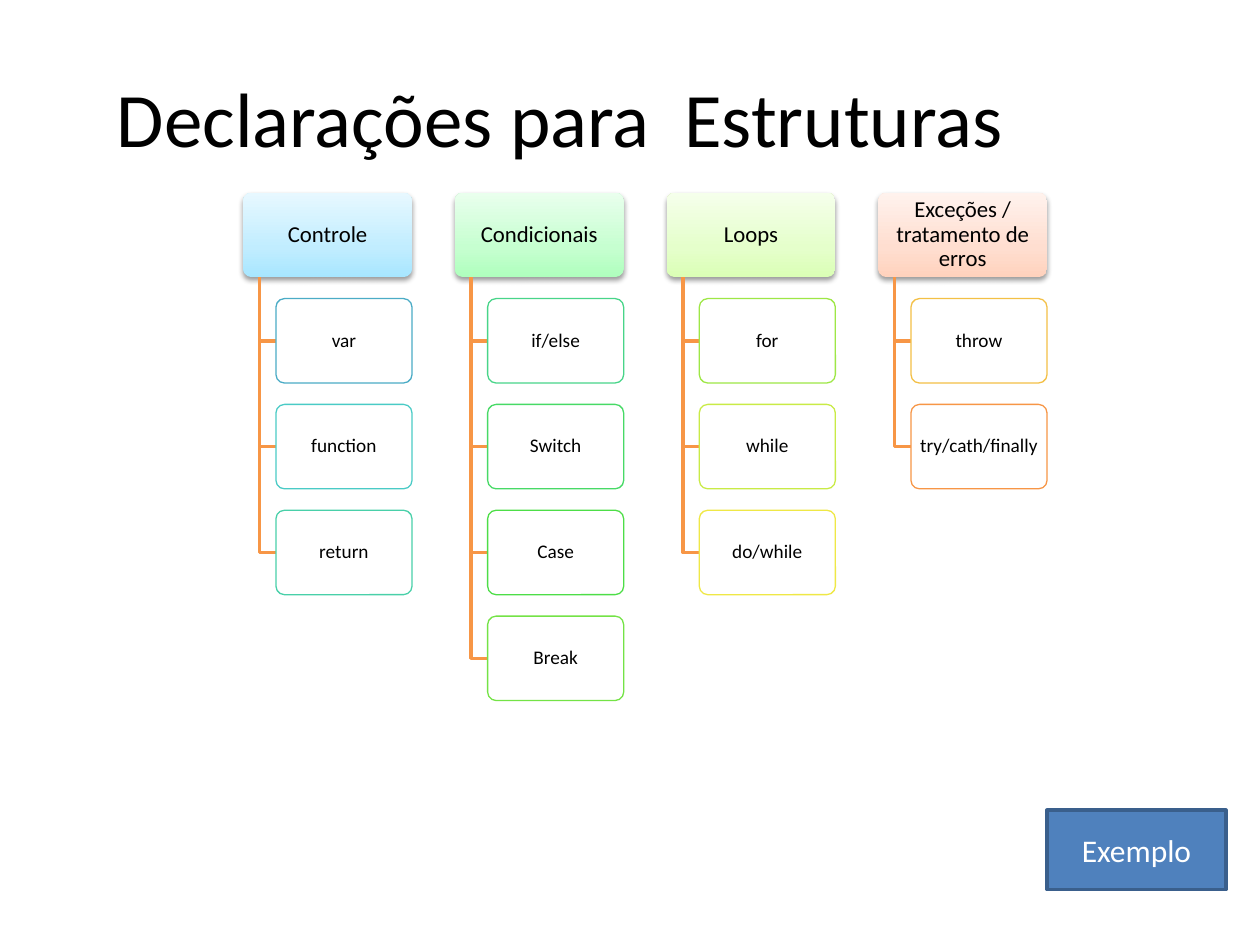
from copy import deepcopy
from dataclasses import dataclass

from lxml import etree
from pptx import Presentation
from pptx.dml.color import RGBColor
from pptx.enum.shapes import MSO_SHAPE
from pptx.enum.text import MSO_ANCHOR, PP_ALIGN
from pptx.oxml.ns import qn
from pptx.shapes.autoshape import Shape
from pptx.slide import Slide
from pptx.util import Inches, Pt

RECTANGLE = MSO_SHAPE.RECTANGLE
ROUNDED_RECTANGLE = MSO_SHAPE.ROUNDED_RECTANGLE
MIDDLE = MSO_ANCHOR.MIDDLE
CENTER = PP_ALIGN.CENTER
LEFT = PP_ALIGN.LEFT

FONT = "Calibri"
BLACK = "000000"
WHITE = "FFFFFF"
ORANGE = "F79646"

TREE_LEFT, TREE_TOP = 1.93, 1.53
COLUMN_STEP, ROW_STEP = 1.68, 0.84
HEADER_WIDTH, BOX_HEIGHT = 1.34, 0.67
TRUNK_OFFSET, ITEM_OFFSET = 0.13, 0.26
STOP_POSITIONS = (0, 0.35, 1)


@dataclass
class Item:
    text: str
    outline: str


@dataclass
class Category:
    title: str
    gradient: tuple[str, str, str]
    items: list[Item]


CATEGORIES = [
    Category("Controle", ("A7E6FF", "C1EDFF", "E7F8FF"), [
        Item("var", "4BACC6"),
        Item("function", "4ACBC6"),
        Item("return", "49D0A9"),
    ]),
    Category("Condicionais", ("AFFFBD", "C6FFD0", "E9FFED"), [
        Item("if/else", "48D589"),
        Item("Switch", "47DA66"),
        Item("Case", "4DDE47"),
        Item("Break", "74E346"),
    ]),
    Category("Loops", ("DBFFB6", "E5FFCB", "F5FFEB"), [
        Item("for", "9EE746"),
        Item("while", "C9EB46"),
        Item("do/while", "EFE846"),
    ]),
    Category("Exceções / tratamento de erros", ("FFD2BD", "FFDED0", "FFF2ED"), [
        Item("throw", "F3C046"),
        Item("try/cath/finally", ORANGE),
    ]),
]


def color(value: str) -> RGBColor:
    return RGBColor.from_string(value)


def write_text(shape: Shape, text: str, size: float, text_color: str,
               alignment: PP_ALIGN = CENTER) -> None:
    frame = shape.text_frame
    frame.text = text
    frame.word_wrap = True
    frame.vertical_anchor = MIDDLE
    paragraph = frame.paragraphs[0]
    paragraph.alignment = alignment
    font = paragraph.runs[0].font
    font.name = FONT
    font.size = Pt(size)
    font.color.rgb = color(text_color)


def set_line(shape: Shape, line_color: str, width: float) -> None:
    shape.line.color.rgb = color(line_color)
    shape.line.width = Pt(width)


def add_tree_box(slide: Slide, left: float, top: float, width: float,
                 text: str, size: float, side_margin: float) -> Shape:
    shape = slide.shapes.add_shape(ROUNDED_RECTANGLE, Inches(left), Inches(top),
                                   Inches(width), Inches(BOX_HEIGHT))
    shape.adjustments[0] = 0.1
    shape.shadow.inherit = False
    write_text(shape, text, size, BLACK)
    frame = shape.text_frame
    frame.margin_left = frame.margin_right = Inches(side_margin)
    frame.margin_top = frame.margin_bottom = Inches(0.02)
    frame.paragraphs[0].line_spacing = 0.9
    return shape


def set_gradient(shape: Shape, colors: tuple[str, str, str]) -> None:
    shape.fill.gradient()
    shape.fill.gradient_angle = 90
    stop_list = shape.element.spPr.find(".//" + qn("a:gsLst"))
    stop_list.append(deepcopy(stop_list[0]))
    for stop, position, value in zip(shape.fill.gradient_stops, STOP_POSITIONS, colors):
        stop.position = position
        stop.color.rgb = color(value)


def add_alpha(color_element: etree._Element, percent: int) -> None:
    etree.SubElement(color_element, qn("a:alpha"), val=str(percent * 1000))


def add_shadow(shape: Shape) -> None:
    effects = shape.element.spPr.find(qn("a:effectLst"))
    shadow = etree.SubElement(effects, qn("a:outerShdw"), blurRad=str(Pt(3.1)),
                              dist=str(Pt(1.6)), dir="5400000", rotWithShape="0")
    add_alpha(etree.SubElement(shadow, qn("a:srgbClr"), val=BLACK), 38)


def add_header(slide: Slide, left: float, category: Category) -> None:
    header = add_tree_box(slide, left, TREE_TOP, HEADER_WIDTH, category.title, 13, 0.03)
    set_gradient(header, category.gradient)
    header.line.fill.background()
    add_shadow(header)


def add_branch(slide: Slide, left: float, item_top: float) -> None:
    trunk = Inches(left + TRUNK_OFFSET)
    middle = Inches(item_top + BOX_HEIGHT / 2)
    builder = slide.shapes.build_freeform(trunk, Inches(TREE_TOP + BOX_HEIGHT))
    builder.add_line_segments([(trunk, middle), (Inches(left + ITEM_OFFSET), middle)],
                              close=False)
    branch = builder.convert_to_shape()
    branch.fill.background()
    branch.shadow.inherit = False
    set_line(branch, ORANGE, 2)


def add_item(slide: Slide, left: float, top: float, item: Item) -> None:
    box = add_tree_box(slide, left + ITEM_OFFSET, top, HEADER_WIDTH - ITEM_OFFSET,
                       item.text, 11, 0.02)
    box.fill.solid()
    box.fill.fore_color.rgb = color(WHITE)
    add_alpha(box.element.spPr.find(qn("a:solidFill"))[0], 90)
    set_line(box, item.outline, 0.75)


def add_category(slide: Slide, column: int, category: Category) -> None:
    left = TREE_LEFT + column * COLUMN_STEP
    add_header(slide, left, category)
    for row, item in enumerate(category.items, start=1):
        top = TREE_TOP + row * ROW_STEP
        add_branch(slide, left, top)
        add_item(slide, left, top, item)


def add_title(slide: Slide) -> None:
    title = slide.shapes.add_textbox(Inches(0.83), Inches(0.3), Inches(8.83), Inches(1.25))
    write_text(title, "Declarações para  Estruturas", 44, BLACK, LEFT)


def add_example_button(slide: Slide) -> None:
    button = slide.shapes.add_shape(RECTANGLE, Inches(8.31), Inches(6.43),
                                    Inches(1.42), Inches(0.63))
    button.shadow.inherit = False
    button.fill.solid()
    button.fill.fore_color.rgb = color("4F81BD")
    set_line(button, "3A5F8C", 2)
    write_text(button, "Exemplo", 18, WHITE)


def main() -> None:
    presentation = Presentation()
    presentation.slide_width = Inches(10)
    presentation.slide_height = Inches(7.5)
    slide = presentation.slides.add_slide(presentation.slide_layouts[6])
    add_title(slide)
    for column, category in enumerate(CATEGORIES):
        add_category(slide, column, category)
    add_example_button(slide)
    presentation.save("out.pptx")


if __name__ == "__main__":
    main()
